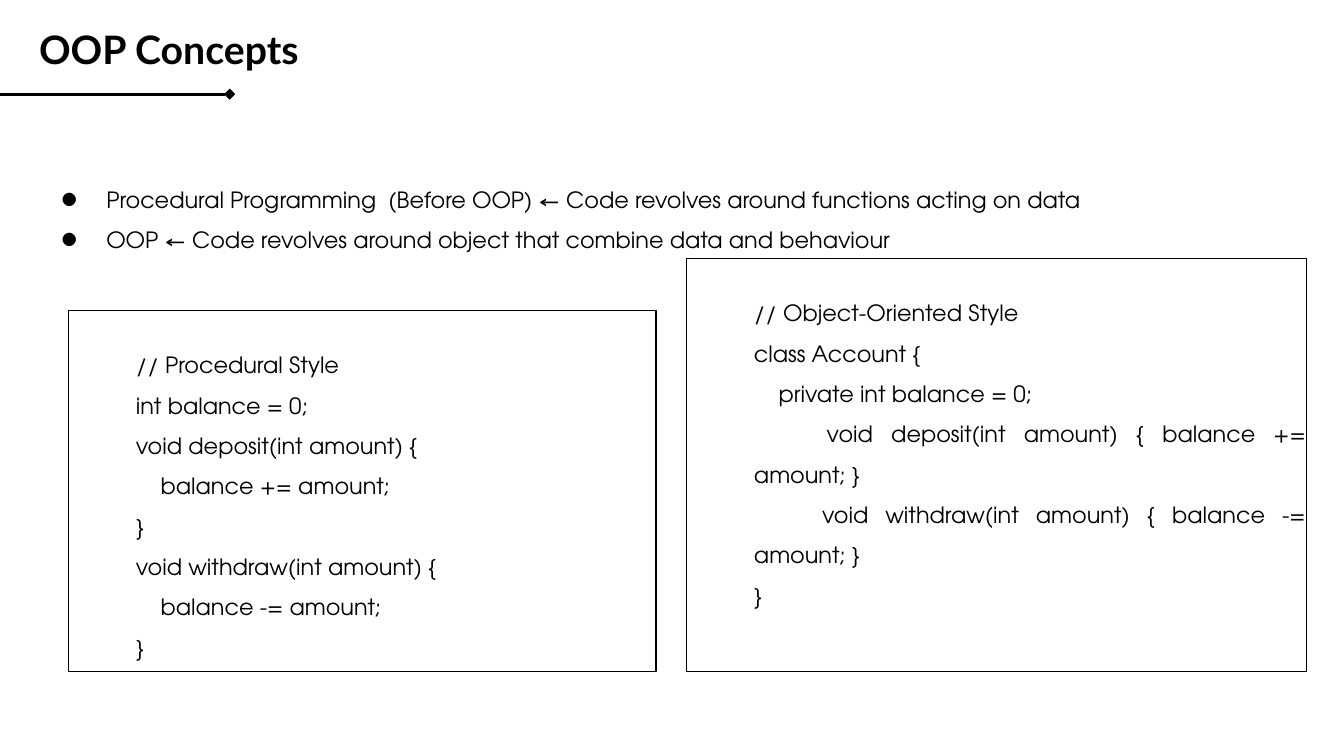
from dataclasses import dataclass

from lxml import etree
from pptx import Presentation
from pptx.dml.color import RGBColor
from pptx.enum.shapes import MSO_CONNECTOR, MSO_SHAPE
from pptx.enum.text import MSO_ANCHOR, PP_ALIGN
from pptx.oxml.ns import qn
from pptx.util import Cm, Pt

STRAIGHT = MSO_CONNECTOR.STRAIGHT
RECTANGLE = MSO_SHAPE.RECTANGLE
TOP = MSO_ANCHOR.TOP
LEFT = PP_ALIGN.LEFT
JUSTIFY = PP_ALIGN.JUSTIFY

BLACK = "000000"
WHITE = "FFFFFF"
TITLE_FONT = "Lato"
BODY_FONT = "TeX Gyre Adventor"


@dataclass
class Panel:
    """A white rectangle of text lines; lengths are in centimetres."""
    left: float
    top: float
    width: float
    height: float
    lines: list[str]
    bulleted: bool = False
    outlined: bool = True


PANELS_BOTTOM = 12.7
RIGHT_TOP = 4.89
LEFT_TOP = 5.87

BULLETS = Panel(0.74, 2.74, 23.01, 3.12, [
    "Procedural Programming  (Before OOP) ← Code revolves around functions acting on data",
    "OOP ← Code revolves around object that combine data and behaviour",
], bulleted=True, outlined=False)

OBJECT_ORIENTED = Panel(12.98, RIGHT_TOP, 11.71, PANELS_BOTTOM - RIGHT_TOP, [
    "// Object-Oriented Style",
    "class Account {",
    "    private int balance = 0;",
    "    void deposit(int amount) { balance += amount; }",
    "    void withdraw(int amount) { balance -= amount; }",
    "}",
])

PROCEDURAL = Panel(1.3, LEFT_TOP, 11.1, PANELS_BOTTOM - LEFT_TOP, [
    "// Procedural Style",
    "int balance = 0;",
    "void deposit(int amount) {",
    "    balance += amount;",
    "}",
    "void withdraw(int amount) {",
    "    balance -= amount;",
    "}",
])


def color(hex_value: str) -> RGBColor:
    return RGBColor.from_string(hex_value)


def set_indent(paragraph, margin: float, first_line: float = 0) -> None:
    properties = paragraph._p.get_or_add_pPr()
    properties.set("marL", str(Cm(margin)))
    properties.set("indent", str(Cm(first_line)))


def add_bullet(paragraph) -> None:
    properties = paragraph._p.get_or_add_pPr()
    bullet_color = etree.SubElement(properties, qn("a:buClr"))
    etree.SubElement(bullet_color, qn("a:srgbClr"), val=BLACK)
    etree.SubElement(properties, qn("a:buFont"), typeface=BODY_FONT)
    etree.SubElement(properties, qn("a:buChar"), char="●")


def write_text(shape, lines: list[str], *, font: str, size: float, bold: bool = False,
               align=LEFT, spacing: float = 1, margin: float = 0, bulleted: bool = False,
               inset_top: float = 0) -> None:
    frame = shape.text_frame
    frame.word_wrap = True
    frame.vertical_anchor = TOP
    frame.margin_left = frame.margin_right = frame.margin_bottom = 0
    frame.margin_top = Cm(inset_top)
    for index, line in enumerate(lines):
        paragraph = frame.paragraphs[0] if index == 0 else frame.add_paragraph()
        set_indent(paragraph, margin, -0.86 if bulleted else 0)
        if bulleted:
            add_bullet(paragraph)
        paragraph.alignment = align
        paragraph.line_spacing = spacing
        run = paragraph.add_run()
        run.text = line
        run.font.name = font
        run.font.size = Pt(size)
        run.font.bold = bold
        run.font.color.rgb = color(BLACK)


def add_panel(slide, panel: Panel) -> None:
    shape = slide.shapes.add_shape(
        RECTANGLE, Cm(panel.left), Cm(panel.top), Cm(panel.width), Cm(panel.height))
    shape.shadow.inherit = False
    shape.fill.solid()
    shape.fill.fore_color.rgb = color(WHITE)
    if panel.outlined:
        shape.line.color.rgb = color(BLACK)
        shape.line.width = Pt(0.75)
    else:
        shape.line.fill.background()
    write_text(shape, panel.lines, font=BODY_FONT, size=12, align=JUSTIFY, spacing=1.5,
               margin=1.27, bulleted=panel.bulleted, inset_top=0.52)


def add_title_rule(slide) -> None:
    """Draw the line under the title, ending in a diamond."""
    rule = slide.shapes.add_connector(STRAIGHT, 0, Cm(1.78), Cm(4.34), Cm(1.78))
    rule.line.color.rgb = color(BLACK)
    rule.line.width = Pt(1.5)
    etree.SubElement(rule.line._get_or_add_ln(), qn("a:tailEnd"), type="diamond")
    etree.SubElement(rule._element.spPr, qn("a:effectLst"))


def main() -> None:
    presentation = Presentation()
    presentation.slide_width = Cm(25.4)
    presentation.slide_height = Cm(14.29)
    slide = presentation.slides.add_slide(presentation.slide_layouts[6])

    add_title_rule(slide)
    add_panel(slide, BULLETS)
    title = slide.shapes.add_textbox(Cm(0.74), Cm(0.58), Cm(19.05), Cm(0.99))
    write_text(title, ["OOP Concepts"], font=TITLE_FONT, size=21, bold=True, spacing=0.9)
    add_panel(slide, OBJECT_ORIENTED)
    add_panel(slide, PROCEDURAL)

    presentation.save("out.pptx")


if __name__ == "__main__":
    main()
